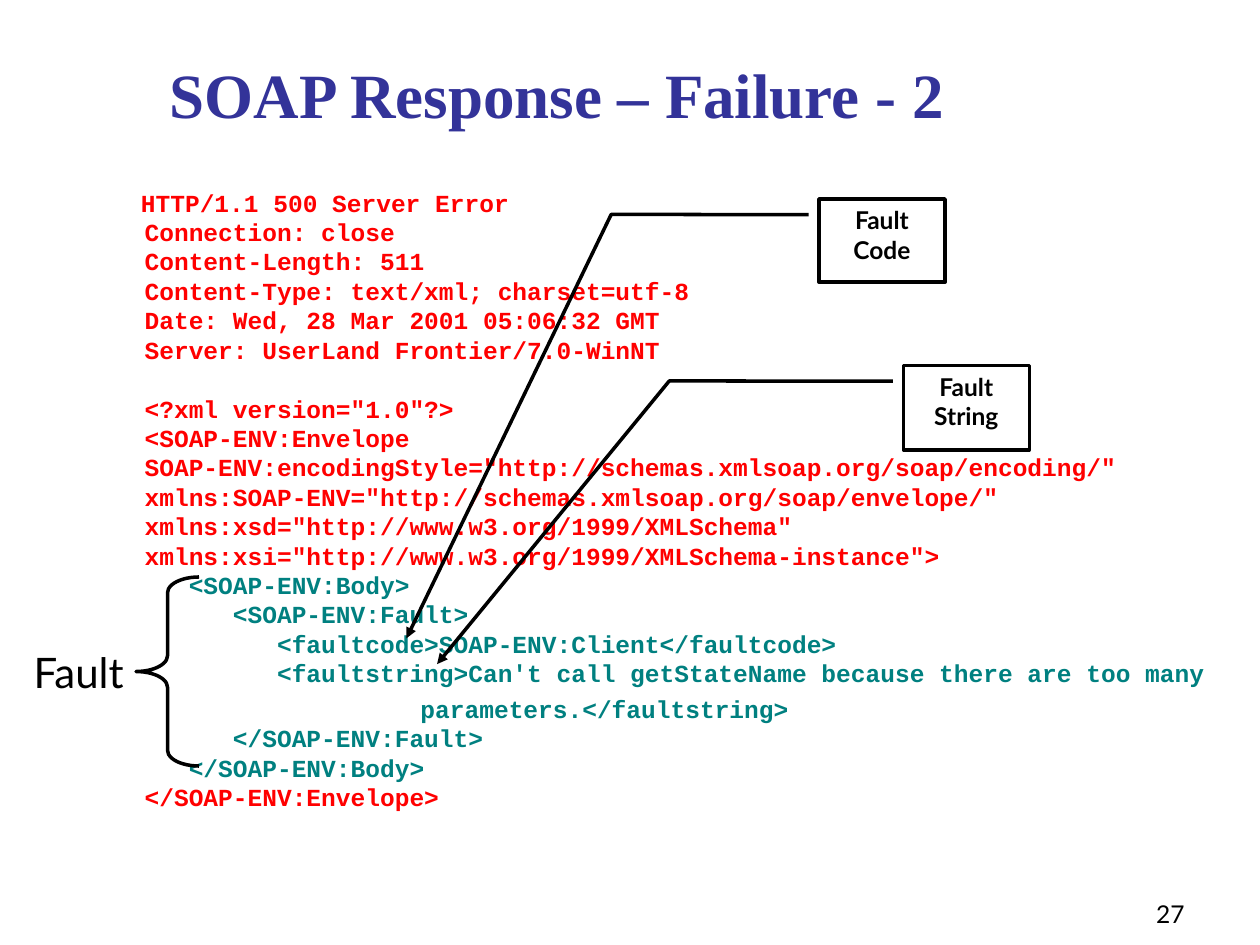
from lxml.etree import SubElement
from pptx import Presentation
from pptx.dml.color import RGBColor
from pptx.enum.shapes import MSO_SHAPE
from pptx.enum.text import MSO_ANCHOR, PP_ALIGN
from pptx.oxml.ns import qn
from pptx.util import Inches, Pt

BLACK, NAVY, RED, TEAL = "000000", "333399", "FF0000", "008080"

CODE_PARAGRAPHS = [
    [
        (RED, [
            "   HTTP/1.1 500 Server Error",
            "Connection: close",
            "Content-Length: 511",
            "Content-Type: text/xml; charset=utf-8",
            "Date: Wed, 28 Mar 2001 05:06:32 GMT",
            "Server: UserLand Frontier/7.0-WinNT",
            "",
            '<?xml version="1.0"?>',
            '<SOAP-ENV:Envelope SOAP-ENV:encodingStyle="http://schemas.xmlsoap.org/soap/encoding/" '
            'xmlns:SOAP-ENV="http://schemas.xmlsoap.org/soap/envelope/" '
            'xmlns:xsd="http://www.w3.org/1999/XMLSchema" '
            'xmlns:xsi="http://www.w3.org/1999/XMLSchema-instance">',
        ]),
        (TEAL, [
            "   <SOAP-ENV:Body>",
            "      <SOAP-ENV:Fault>",
            "         <faultcode>SOAP-ENV:Client</faultcode>",
            "         <faultstring>Can't call getStateName because there are too many",
        ]),
    ],
    [
        (TEAL, [
            "                      parameters.</faultstring>",
            "      </SOAP-ENV:Fault>",
            "   </SOAP-ENV:Body>",
        ]),
        (RED, ["</SOAP-ENV:Envelope>"]),
    ],
]

LABELS = [
    ("SOAP Response – Failure - 2", (1.25, 0.33, 8.52, 0.76),
     {"name": "Times New Roman", "size": Pt(36), "bold": True}, NAVY,
     PP_ALIGN.LEFT, MSO_ANCHOR.BOTTOM),
    ("Fault", (0, 5.08, 1.08, 0.5),
     {"name": "Lato", "size": Pt(24)}, BLACK, PP_ALIGN.RIGHT, MSO_ANCHOR.TOP),
    ("27", (7.42, 6.92, 2.08, 0.5),
     {"name": "Lato", "size": Pt(14)}, BLACK, PP_ALIGN.RIGHT, MSO_ANCHOR.BOTTOM),
]

CALLOUTS = [
    ("Fault Code", (6.5, 1.58, 1, 0.66), (0.188, -0.083, 0.185, -1.649, 5.284, -3.274)),
    ("Fault String", (7.17, 2.9, 1, 0.67), (0.188, -0.083, 0.185, -1.858, 3.539, -3.701)),
]

CODE_FONT = {"name": "Courier New", "size": Pt(14), "bold": True}
CALLOUT_FONT = {"name": "Lato", "size": Pt(14), "bold": True}


def color(value):
    return RGBColor.from_string(value)


def set_values(target, values):
    for name, value in values.items():
        setattr(target, name, value)


def add_run(paragraph, text, font, text_color):
    run = paragraph.add_run()
    run.text = text
    set_values(run.font, font)
    run.font.color.rgb = color(text_color)


def add_text_box(slide, box, anchor=MSO_ANCHOR.TOP):
    frame = slide.shapes.add_textbox(*map(Inches, box)).text_frame
    set_values(frame, {"word_wrap": True, "vertical_anchor": anchor})
    return frame


def add_outline(slide, preset, box, adjustments):
    shape = slide.shapes.add_shape(preset, *map(Inches, box))
    shape.shadow.inherit = False
    shape.fill.background()
    shape.line.color.rgb = color(BLACK)
    shape.line.width = Pt(2)
    for index, value in enumerate(adjustments):
        shape.adjustments[index] = value
    return shape


def add_callout(slide, text, box, adjustments):
    shape = add_outline(slide, MSO_SHAPE.LINE_CALLOUT_2, box, adjustments)
    line = shape.line.fill and shape.element.spPr.find(qn("a:ln"))
    SubElement(line, qn("a:tailEnd"), type="triangle")
    frame = shape.text_frame
    set_values(frame, {"word_wrap": True, "vertical_anchor": MSO_ANCHOR.TOP})
    paragraph = frame.paragraphs[0]
    paragraph.alignment = PP_ALIGN.CENTER
    add_run(paragraph, text, CALLOUT_FONT, BLACK)


def add_code(slide):
    frame = add_text_box(slide, (0.67, 1.44, 9.13, 5.29))
    for number, sections in enumerate(CODE_PARAGRAPHS):
        paragraph = frame.add_paragraph() if number else frame.paragraphs[0]
        paragraph.line_spacing = Pt(16.8)
        if number:
            paragraph.space_before = Pt(3.5)
        properties = paragraph._p.get_or_add_pPr()
        properties.set("marL", str(Inches(0.38)))
        properties.set("indent", str(Inches(-0.38)))
        lines = [(tint, line) for tint, section in sections for line in section]
        for index, (tint, line) in enumerate(lines):
            if index:
                paragraph.add_line_break()
            if line:
                add_run(paragraph, line, CODE_FONT, tint)


def main():
    presentation = Presentation()
    presentation.slide_width = Inches(10)
    presentation.slide_height = Inches(7.5)
    slide = presentation.slides.add_slide(presentation.slide_layouts[6])
    for text, box, font, tint, alignment, anchor in LABELS:
        paragraph = add_text_box(slide, box, anchor).paragraphs[0]
        paragraph.alignment = alignment
        add_run(paragraph, text, font, tint)
    add_code(slide)
    for callout in CALLOUTS:
        add_callout(slide, *callout)
    add_outline(slide, MSO_SHAPE.LEFT_BRACE, (1.08, 4.58, 0.5, 1.5), (0.25, 0.5))
    presentation.save("out.pptx")


if __name__ == "__main__":
    main()
